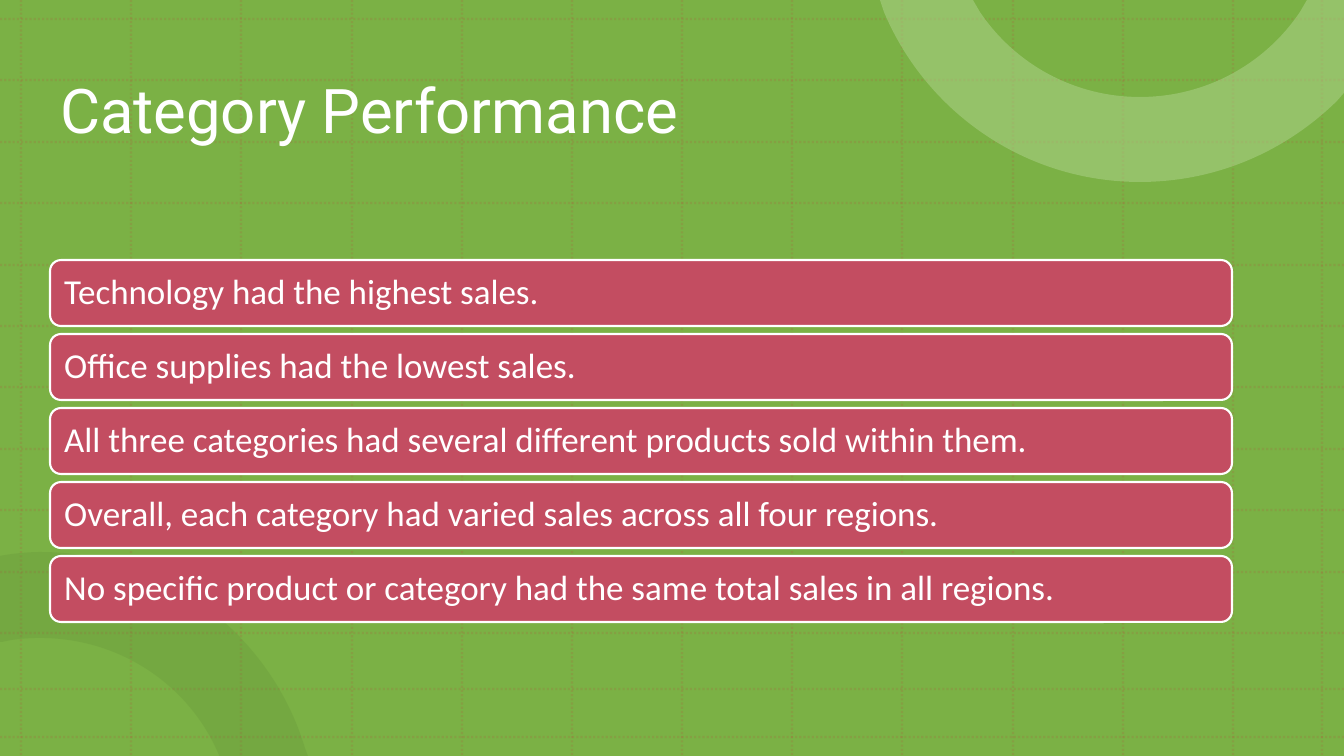
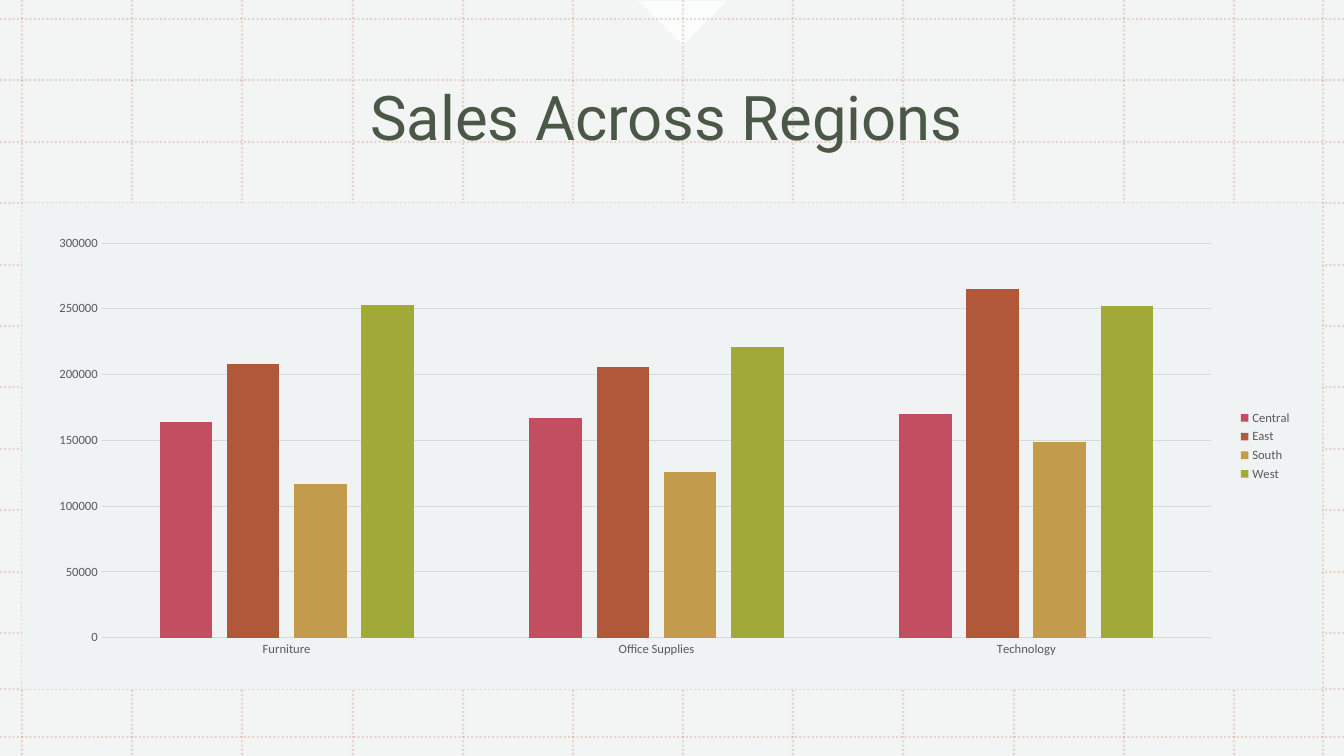
"""Build a two-slide sales report: category findings and a regional column chart."""
import pptx
import pptx.chart.data
import pptx.dml.color
import pptx.enum.chart
import pptx.enum.dml
import pptx.enum.shapes
import pptx.enum.text
import pptx.oxml
import pptx.oxml.ns
import pptx.util

PX = 12192000 / 1344
W, H = 1344, 756
COLORS = {
    "green": "7BB145", "dark_green": "5C8534", "light_green": "B0D38D",
    "panel": "F0F3F3", "white": "FFFFFF", "ink": "4B5747",
    "rose": "C34D61", "rust": "B1583B", "gold": "C39B4D", "olive": "A1AA38",
    "axis_text": "595959", "axis_line": "D9D9D9",
}
RGB = {name: pptx.dml.color.RGBColor.from_string(c) for name, c in COLORS.items()}
Pt = pptx.util.Pt
qn = pptx.oxml.ns.qn
SHAPE = pptx.enum.shapes.MSO_SHAPE
ALIGN = pptx.enum.text.PP_ALIGN
ANCHOR = pptx.enum.text.MSO_ANCHOR


def emu(*lengths):
    return [pptx.util.Emu(round(v * PX)) for v in lengths]


def paint(sp, color, opacity=100):
    sp.shadow.inherit = False
    sp.line.fill.background()
    sp.fill.solid()
    sp.fill.fore_color.rgb = RGB[color]
    clr = next(sp.element.spPr.iter(qn("a:srgbClr")))
    if opacity < 100:
        clr.append(clr.makeelement(qn("a:alpha"), {"val": str(opacity * 1000)}))


prs = pptx.Presentation()
prs.slide_width, prs.slide_height = emu(W, H)
layout = prs.slide_layouts[5]
findings = prs.slides.add_slide(layout)
regions = prs.slides.add_slide(layout)

backdrop = findings.shapes.add_shape(SHAPE.RECTANGLE, *emu(0, 0, W, H))
paint(backdrop, "green")
for color, opacity in [("white", 100), ("panel", 80)]:
    sp = regions.shapes.add_shape(SHAPE.RECTANGLE, *emu(0, 0, W, H))
    paint(sp, color, opacity)
notch = regions.shapes.add_shape(SHAPE.RIGHT_TRIANGLE, *emu(651, -31, 63, 63))
notch.rotation = 315
paint(notch, "white", 75)

columns = [21 + round(1212 * i / 11) for i in range(12)] + [1322]
rows = [19 + round(614 * i / 10) for i in range(11)] + [689, 737]
grids = []
for s, dx in [(findings, 0), (regions, 1)]:
    grid = s.shapes.add_group_shape()
    grids.append(grid)
    for ends in [(x + dx, 0, x + dx, H) for x in columns] + [(0, y, W, y) for y in rows]:
        ln = grid.shapes.add_connector(pptx.enum.shapes.MSO_CONNECTOR.STRAIGHT, *emu(*ends))
        ln.line.color.rgb = RGB["rust"]
        ln.line.width = Pt(1.5)
        ln.line.dash_style = pptx.enum.dml.MSO_LINE.ROUND_DOT
        clr = next(ln.element.spPr.iter(qn("a:srgbClr")))
        clr.append(clr.makeelement(qn("a:alpha"), {"val": "20000"}))
        ln.element.spPr.append(pptx.oxml.parse_xml(
            '<a:effectLst xmlns:a="http://schemas.openxmlformats.org/drawingml/2006/main"/>'))

rings = [
    ("dark_green", 20, (40, 552), [
        (165, 552, 271, 635, 305, 748), (308, 756), (219, 756), (219, 755),
        (190, 686, 121, 638, 40, 638), (27, 638, 14, 639, 2, 642), (-1, 642),
        (-1, 556), (12, 554), (21, 553, 31, 552, 40, 552)]),
    ("light_green", 50, (880, 0), [
        (973, 0), (980, 12), (1015, 64, 1074, 97, 1140, 97),
        (1206, 97, 1265, 64, 1300, 12), (1307, 0), (1344, 0), (1344, 93),
        (1337, 101), (1286, 151, 1217, 182, 1140, 182),
        (1025, 182, 926, 112, 884, 12)]),
]
decor = [backdrop, grids[0]]
for color, opacity, start, segments in rings:
    fb = findings.shapes.build_freeform(*emu(*start))
    fb.add_line_segments(
        [emu(*pt) for seg in segments for pt in zip(seg[::2], seg[1::2])], close=True)
    ring = fb.convert_to_shape()
    paint(ring, color, opacity)
    decor.append(ring)
    steps = iter(list(ring.element.iter(qn("a:lnTo"))))
    for seg in segments:
        step = next(steps)
        if len(seg) == 6:
            curve = step.makeelement(qn("a:cubicBezTo"), {})
            step.addprevious(curve)
            for part in (step, next(steps), next(steps)):
                curve.append(part[0])
                part.getparent().remove(part)

next_id = 100
for i, sp in enumerate(decor):
    for props in sp.element.iter(qn("p:cNvPr")):
        props.set("id", str(next_id))
        next_id += 1
    prs.slide_master.shapes.element.insert(2 + i, sp.element)

panel = regions.shapes.add_shape(SHAPE.RECTANGLE, *emu(22, 203, 1300, 486))
paint(panel, "panel")

titles = [
    (findings, "Category Performance", (50, 41, 1182, 146), "white", ALIGN.LEFT),
    (regions, "Sales Across Regions", (33, 38, 1268, 165), "ink", ALIGN.CENTER),
]
for s, text, box, color, align in titles:
    sp = s.shapes.title
    sp.left, sp.top, sp.width, sp.height = emu(*box)
    tf = sp.text_frame
    tf.text = text
    tf.vertical_anchor = ANCHOR.MIDDLE
    p = tf.paragraphs[0]
    p.alignment = align
    p.line_spacing = 0.9
    p.font.name = "Roboto"
    p.font.size = Pt(44)
    p.font.color.rgb = RGB[color]
    s.shapes.element.append(sp.element)

bars = [
    "Technology had the highest sales.",
    "Office supplies had the lowest sales.",
    "All three categories had several different products sold within them.",
    "Overall, each category had varied sales across all four regions.",
    "No specific product or category had the same total sales in all regions.",
]
for i, text in enumerate(bars):
    sp = findings.shapes.add_shape(SHAPE.ROUNDED_RECTANGLE, *emu(50, 260 + 74 * i, 1182, 66))
    paint(sp, "rose")
    sp.line.color.rgb = RGB["white"]
    sp.line.width = Pt(1.5)
    tf = sp.text_frame
    tf.text = text
    tf.word_wrap = True
    tf.vertical_anchor = ANCHOR.MIDDLE
    tf.margin_left = tf.margin_right = emu(11)[0]
    p = tf.paragraphs[0]
    p.alignment = ALIGN.LEFT
    p.line_spacing = 0.9
    p.font.name = "Calibri"
    p.font.size = Pt(25)
    p.font.color.rgb = RGB["white"]

series = [
    ("Central", (164000, 167000, 170000), "rose"),
    ("East", (208000, 206000, 265000), "rust"),
    ("South", (117000, 126000, 149000), "gold"),
    ("West", (253000, 221000, 252000), "olive"),
]
data = pptx.chart.data.CategoryChartData()
data.categories = ["Furniture", "Office Supplies", "Technology"]
for name, values, color in series:
    data.add_series(name, values)
chart = regions.shapes.add_chart(
    pptx.enum.chart.XL_CHART_TYPE.COLUMN_CLUSTERED, *emu(34, 227, 1268, 438), data).chart
chart.has_title = False
chart.font.name = "Calibri"
chart.font.size = Pt(9)
chart.font.color.rgb = RGB["axis_text"]
chart.has_legend = True
chart.legend.position = pptx.enum.chart.XL_LEGEND_POSITION.RIGHT
chart.legend.include_in_layout = False
plot = chart.plots[0]
plot.vary_by_categories = False
plot.gap_width = 219
plot.overlap = -27
for ser, (name, values, color) in zip(plot.series, series):
    ser.format.fill.solid()
    ser.format.fill.fore_color.rgb = RGB[color]

for axis in (chart.category_axis, chart.value_axis):
    axis.major_tick_mark = axis.minor_tick_mark = pptx.enum.chart.XL_TICK_MARK.NONE
chart.value_axis.minimum_scale = 0
chart.value_axis.maximum_scale = 300000
chart.value_axis.major_unit = 50000
chart.value_axis.format.line.fill.background()
for part in (chart.category_axis, chart.value_axis.major_gridlines):
    part.format.line.color.rgb = RGB["axis_line"]
    part.format.line.width = Pt(0.75)

prs.save("out.pptx")
